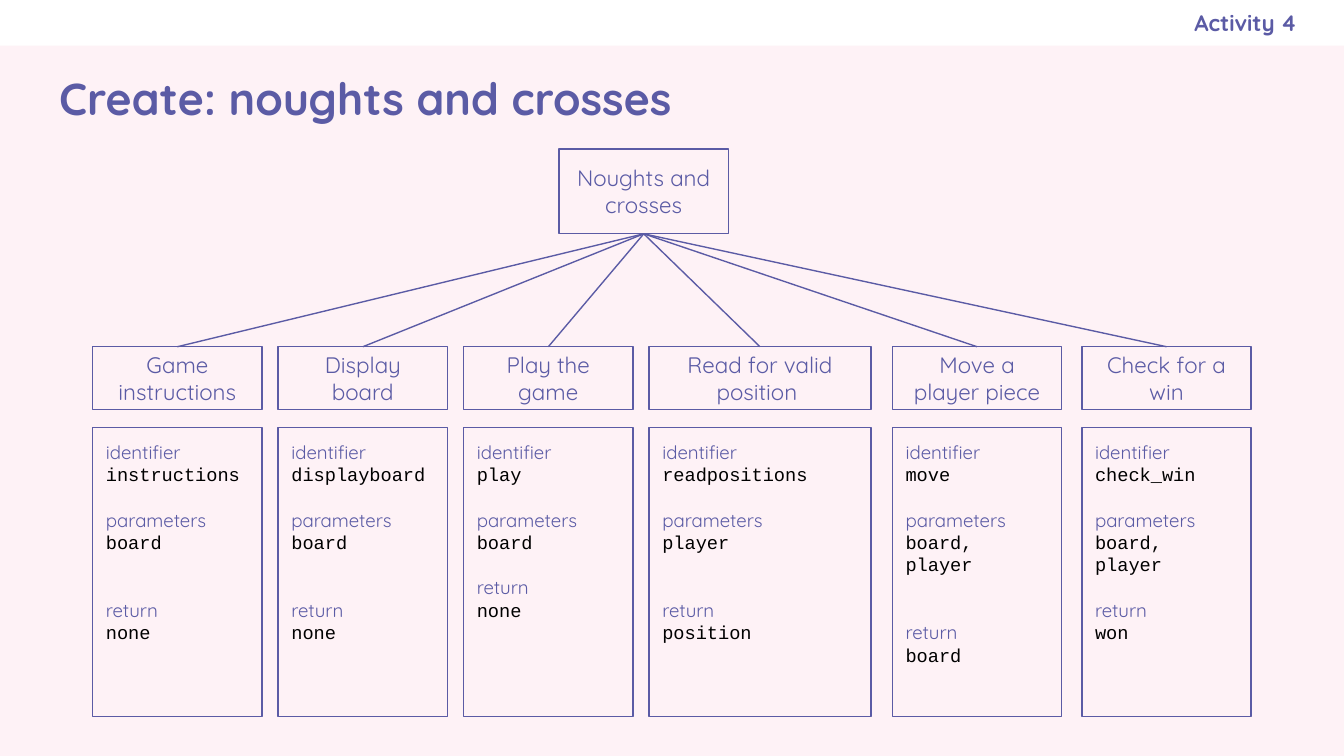
from lxml.etree import SubElement
from pptx import Presentation
from pptx.dml.color import RGBColor
from pptx.enum.shapes import MSO_CONNECTOR, MSO_SHAPE
from pptx.enum.text import MSO_ANCHOR, MSO_AUTO_SIZE, PP_ALIGN
from pptx.oxml.ns import qn
from pptx.util import Inches, Pt

WIDE = Inches(10)
HIGH = WIDE * 9 // 16
UNIT = WIDE // 1000  # side of a square grid cell
HUES = {"page": "FEF2F6", "band": "FFFFFF", "main": "5B5BA5", "code": "000000"}
SANS, MONO = "Quicksand", "Courier New"
LINE = 12.2  # height of one text line in a detail card, in points

# first column and column count, heading, (part, value, blank lines before)
TASKS = [
    (69, 126, "Game instructions",
     [("identifier", "instructions", 0), ("parameters", "board", 1), ("return", "none", 2)]),
    (207, 126, "Display board",
     [("identifier", "displayboard", 0), ("parameters", "board", 1), ("return", "none", 2)]),
    (345, 126, "Play the game",
     [("identifier", "play", 0), ("parameters", "board", 1), ("return", "none", 1)]),
    (483, 165, "Read for valid position ",
     [("identifier", "readpositions", 0), ("parameters", "player", 1), ("return", "position", 2)]),
    (664, 126, "Move a player piece",
     [("identifier", "move", 0), ("parameters", "board, player", 1), ("return", "board", 2)]),
    (805, 126, "Check for a win",
     [("identifier", "check_win", 0), ("parameters", "board, player", 1), ("return", "won", 1)]),
]


def hue(name):
    return RGBColor.from_string(HUES[name])


def area(x, y, w, h):
    """Turn grid columns and rows into lengths."""
    return x * UNIT, y * UNIT, w * UNIT, h * UNIT


def style(para, size, face=SANS, tone="main", bold=False, align=PP_ALIGN.LEFT):
    para.alignment = align
    font = para.font
    font.size, font.name, font.bold = Pt(size), face, bold
    font.color.rgb = hue(tone)


def setup(frame, anchor):
    frame.word_wrap = True
    frame.auto_size = MSO_AUTO_SIZE.NONE
    frame.vertical_anchor = anchor
    frame.margin_left = frame.margin_right = Inches(0.1)
    frame.margin_top = frame.margin_bottom = Inches(0.1)


def add_box(slide, box, anchor):
    shape = slide.shapes.add_shape(MSO_SHAPE.RECTANGLE, *box)
    shape.shadow.inherit = False
    shape.fill.background()
    shape.line.color.rgb = hue("main")
    shape.line.width = Pt(0.75)
    setup(shape.text_frame, anchor)
    return shape


def add_node(slide, box, text):
    node = add_box(slide, box, MSO_ANCHOR.MIDDLE)
    para = node.text_frame.paragraphs[0]
    para.text = text
    style(para, 12, align=PP_ALIGN.CENTER)
    return node


def add_card(slide, box, parts):
    frame = add_box(slide, box, MSO_ANCHOR.TOP).text_frame
    for row, (label, value, gap) in enumerate(parts):
        head = frame.add_paragraph() if row else frame.paragraphs[0]
        head.text = label
        style(head, 10)
        if gap:
            head.space_before = Pt(gap * LINE)
        body = frame.add_paragraph()
        body.text = value
        style(body, 10, MONO, "code")


def add_link(slide, root, node):
    link = slide.shapes.add_connector(MSO_CONNECTOR.STRAIGHT, 0, 0, 0, 0)
    link.begin_connect(node, 0)
    link.end_connect(root, 2)
    link.line.color.rgb = hue("main")
    link.line.width = Pt(0.75)
    SubElement(link._element.spPr, qn("a:effectLst"))


def add_head(slide, box, text):
    """Draw the white band with its label at the right."""
    left, top, width, height = box
    band = slide.shapes.add_shape(MSO_SHAPE.RECTANGLE, *box)
    band.shadow.inherit = False
    band.fill.solid()
    band.fill.fore_color.rgb = hue("band")
    band.line.fill.background()
    label = slide.shapes.add_textbox(
        left + 575 * UNIT, top, width - 610 * UNIT, height)
    frame = label.text_frame
    setup(frame, MSO_ANCHOR.MIDDLE)
    frame.margin_right = 0
    para = frame.paragraphs[0]
    para.text = text
    style(para, 12, bold=True, align=PP_ALIGN.RIGHT)


def add_title(slide, box, text):
    title = slide.shapes.title
    title.left, title.top, title.width, title.height = box
    title.text = text
    setup(title.text_frame, MSO_ANCHOR.MIDDLE)
    style(title.text_frame.paragraphs[0], 24, bold=True)


def add_tree(slide, x, y):
    """Draw the root, its tasks and their cards from the given cell on."""
    root = add_node(slide, area(x + 416, y, 126, 63), "Noughts and crosses")
    for col, span, name, parts in TASKS:
        node = add_node(slide, area(x + col, y + 147, span, 47), name)
        add_card(slide, area(x + col, y + 207, span, 215), parts)
        add_link(slide, root, node)


def main():
    deck = Presentation()
    deck.slide_width, deck.slide_height = WIDE, HIGH
    slide = deck.slides.add_slide(deck.slide_layouts[5])
    slide.background.fill.solid()
    slide.background.fill.fore_color.rgb = hue("page")
    add_head(slide, area(0, 0, 1000, 34), "Activity 4")
    add_title(slide, area(34, 34, 932, 77), "Create: noughts and crosses")
    add_tree(slide, 0, 111)
    deck.save("out.pptx")


if __name__ == "__main__":
    main()
